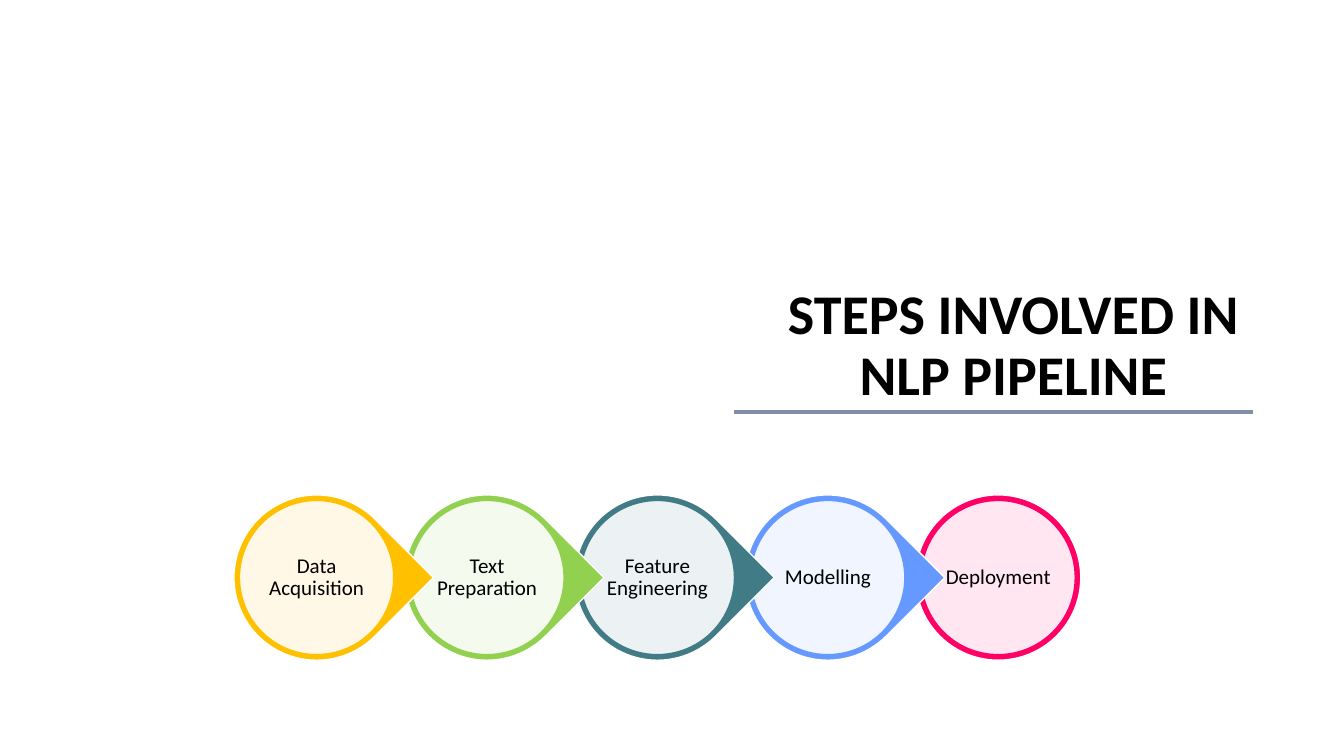
from lxml import etree
from pptx import Presentation
from pptx import util as u
from pptx.dml.color import RGBColor
from pptx.enum import shapes, text
from pptx.oxml.ns import qn

# Content
TITLE = "STEPS INVOLVED IN NLP PIPELINE"
STEPS = [
    ("Data Acquisition", "amber"),
    ("Text Preparation", "green"),
    ("Feature Engineering", "teal"),
    ("Modelling", "blue"),
    ("Deployment", "pink"),
]
COLORS = {
    "amber": "FFC000", "green": "92D050", "teal": "417B85", "blue": "6699FF",
    "pink": "FF0066", "rule": "7F8FA9", "white": "FFFFFF", "black": "000000",
}

# Layout in px, 100 to the inch
PX = 9144
SLIDE_W, SLIDE_H = 1333, 750
TITLE_BOX = (735, 204, 540, 205)
RULE_X1, RULE_X2, RULE_Y = 728, 1243, 409
FIRST_X, CENTER_Y, PITCH = 232, 573, 169
OUTER, INNER, LABEL = 164, 153, 109


def px(n):
    return u.Emu(round(n * PX))


def color(name):
    return RGBColor.from_string(COLORS[name])


def write(s, words, size, bold=False, anchor=text.MSO_ANCHOR.MIDDLE, inset=None):
    tf = s.text_frame
    tf.word_wrap = True
    tf.auto_size = text.MSO_AUTO_SIZE.NONE
    tf.vertical_anchor = anchor
    if inset is not None:
        tf.margin_left = tf.margin_right = px(inset)
        tf.margin_top = tf.margin_bottom = px(inset)
    p = tf.paragraphs[0]
    p.alignment = text.PP_ALIGN.CENTER
    p.line_spacing = 0.9
    r = p.add_run()
    r.text = words
    r.font.name, r.font.size, r.font.bold = "Calibri", u.Pt(size), bold
    r.font.color.rgb = color("black")


def centered(cx, size):
    return [px(n) for n in (cx - size / 2, CENTER_Y - size / 2, size, size)]


def add_disc(sp, kind, cx, size, fill, line):
    s = sp.add_shape(kind, *centered(cx, size))
    s.shadow.inherit = False
    s.fill.solid()
    s.fill.fore_color.rgb = color(fill)
    s.line.color.rgb = color(line)
    s.line.width = u.Pt(1)
    return s


prs = Presentation()
prs.slide_width, prs.slide_height = px(SLIDE_W), px(SLIDE_H)
slide = prs.slides.add_slide(prs.slide_layouts[5])
sp = slide.shapes

# Title and the rule under it
title = sp.title
title.left, title.top, title.width, title.height = map(px, TITLE_BOX)
write(title, TITLE, 40, bold=True, anchor=text.MSO_ANCHOR.BOTTOM)
rule = sp.add_connector(shapes.MSO_CONNECTOR.STRAIGHT, px(RULE_X1), px(RULE_Y),
                        px(RULE_X2), px(RULE_Y))
rule.line.color.rgb = color("rule")
rule.line.width = u.Pt(3)
etree.SubElement(rule.line._get_or_add_ln().getparent(), qn("a:effectLst"))

# Steps, last one first so that each tip overlaps the next disc
last = len(STEPS) - 1
for i, (name, hue) in reversed(list(enumerate(STEPS))):
    cx = FIRST_X + OUTER / 2 + i * PITCH
    kind = shapes.MSO_SHAPE.OVAL if i == last else shapes.MSO_SHAPE.TEAR
    outer = add_disc(sp, kind, cx, OUTER, hue, "white")
    if i != last:
        outer.rotation = 45
    inner = add_disc(sp, shapes.MSO_SHAPE.OVAL, cx, INNER, "white", hue)
    clr = inner.fill._xPr.find(".//" + qn("a:srgbClr"))
    etree.SubElement(clr, qn("a:alpha"), val="90000")
    write(sp.add_textbox(*centered(cx, LABEL)), name, 15, inset=2)

prs.save("out.pptx")
